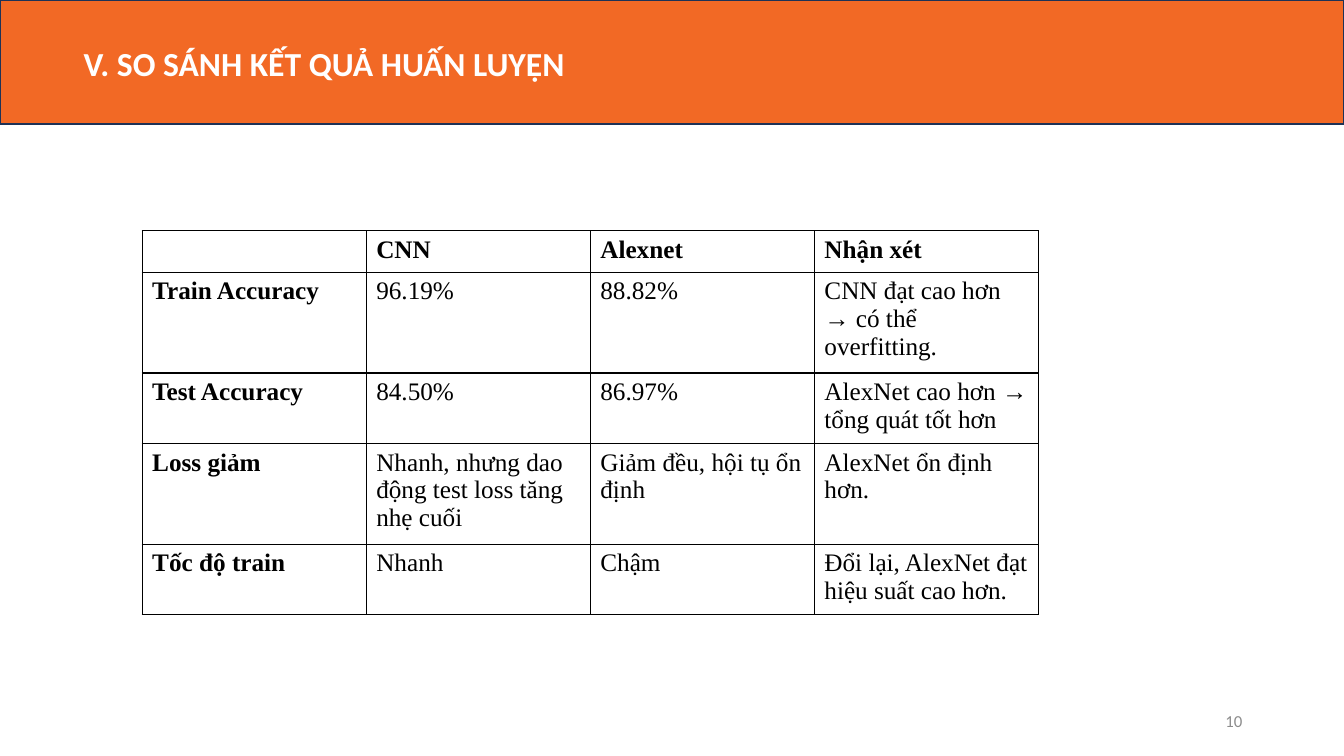
from lxml import etree
from pptx import Presentation
from pptx.dml.color import RGBColor
from pptx.enum.shapes import MSO_SHAPE
from pptx.enum.text import MSO_ANCHOR, MSO_AUTO_SIZE, PP_ALIGN
from pptx.oxml.ns import qn
from pptx.util import Inches, Pt

RECTANGLE = MSO_SHAPE.RECTANGLE
TOP, MIDDLE = MSO_ANCHOR.TOP, MSO_ANCHOR.MIDDLE
LEFT, RIGHT = PP_ALIGN.LEFT, PP_ALIGN.RIGHT
NO_AUTOFIT = MSO_AUTO_SIZE.NONE

COLORS = {
    "orange": "F26925",
    "navy": "1E3256",
    "white": "FFFFFF",
    "black": "000000",
    "gray": "8C8C8C",
}
TITLE_ONLY = 5

RESULTS = [
    ["", "CNN", "Alexnet", "Nhận xét"],
    ["Train Accuracy", "96.19%", "88.82%", "CNN đạt cao hơn → có thể overfitting."],
    ["Test Accuracy", "84.50%", "86.97%", "AlexNet cao hơn → tổng quát tốt hơn"],
    ["Loss giảm", "Nhanh, nhưng dao động test loss tăng nhẹ cuối",
     "Giảm đều, hội tụ ổn định", "AlexNet ổn định hơn."],
    ["Tốc độ train", "Nhanh", "Chậm", "Đổi lại, AlexNet đạt hiệu suất cao hơn."],
]
ROW_HEIGHTS = [0.41, 1.0, 0.7, 1.0, 0.7]


def rgb(name):
    return RGBColor.from_string(COLORS[name])


def add_run(paragraph, text, font, size, color, bold=False):
    run = paragraph.add_run()
    run.text = text
    run.font.name = font
    run.font.size = Pt(size)
    run.font.bold = bold
    run.font.color.rgb = rgb(color)


def add_header(slide, left, top, width, height):
    # Band, sent behind the title
    band = slide.shapes.add_shape(
        RECTANGLE, Inches(left), Inches(top), Inches(width), Inches(height))
    band.shadow.inherit = False
    band.fill.solid()
    band.fill.fore_color.rgb = rgb("orange")
    band.line.color.rgb = rgb("navy")
    band.line.width = Pt(1)
    slide.shapes.title._element.addprevious(band._element)

    # Title
    title = slide.shapes.title
    title.left, title.top = Inches(left + 0.73), Inches(top + 0.38)
    title.width, title.height = Inches(width - 1.82), Inches(0.5)
    frame = title.text_frame
    frame.word_wrap = True
    frame.auto_size = NO_AUTOFIT
    frame.vertical_anchor = MIDDLE
    paragraph = frame.paragraphs[0]
    paragraph.alignment = LEFT
    add_run(paragraph, "V. SO SÁNH KẾT QUẢ HUẤN LUYỆN", "Calibri", 24, "white", True)


def set_borders(cell):
    properties = cell._tc.get_or_add_tcPr()
    for index, side in enumerate(("a:lnL", "a:lnR", "a:lnT", "a:lnB")):
        line = etree.Element(qn(side), w=str(Pt(1)))
        fill = etree.SubElement(line, qn("a:solidFill"))
        etree.SubElement(fill, qn("a:srgbClr"), val=COLORS["black"])
        properties.insert(index, line)


def add_results_table(slide, left, top, width):
    rows, columns = len(RESULTS), len(RESULTS[0])
    table = slide.shapes.add_table(
        rows, columns, Inches(left), Inches(top),
        Inches(width), Inches(sum(ROW_HEIGHTS))).table
    for column in table.columns:
        column.width = Inches(width / columns)
    for r, texts in enumerate(RESULTS):
        table.rows[r].height = Inches(ROW_HEIGHTS[r])
        for c, text in enumerate(texts):
            cell = table.cell(r, c)
            cell.fill.solid()
            cell.fill.fore_color.rgb = rgb("white")
            cell.vertical_anchor = TOP
            set_borders(cell)
            if text:
                add_run(cell.text_frame.paragraphs[0], text, "Times New Roman",
                        18, "black", bold=r == 0 or c == 0)


def add_page_number(slide, left, top, width, height):
    page_number = slide.shapes.add_textbox(
        Inches(left), Inches(top), Inches(width), Inches(height))
    frame = page_number.text_frame
    frame.word_wrap = True
    frame.vertical_anchor = MIDDLE
    paragraph = frame.paragraphs[0]
    paragraph.alignment = RIGHT
    add_run(paragraph, "10", "Calibri", 12, "gray")


def main():
    presentation = Presentation()
    presentation.slide_width = Inches(13.33)
    presentation.slide_height = Inches(7.5)
    slide = presentation.slides.add_slide(presentation.slide_layouts[TITLE_ONLY])
    add_header(slide, 0, 0, 13.33, 1.23)
    add_results_table(slide, 1.41, 2.29, 8.89)
    add_page_number(slide, 9.42, 6.95, 3, 0.4)
    presentation.save("out.pptx")


if __name__ == "__main__":
    main()
